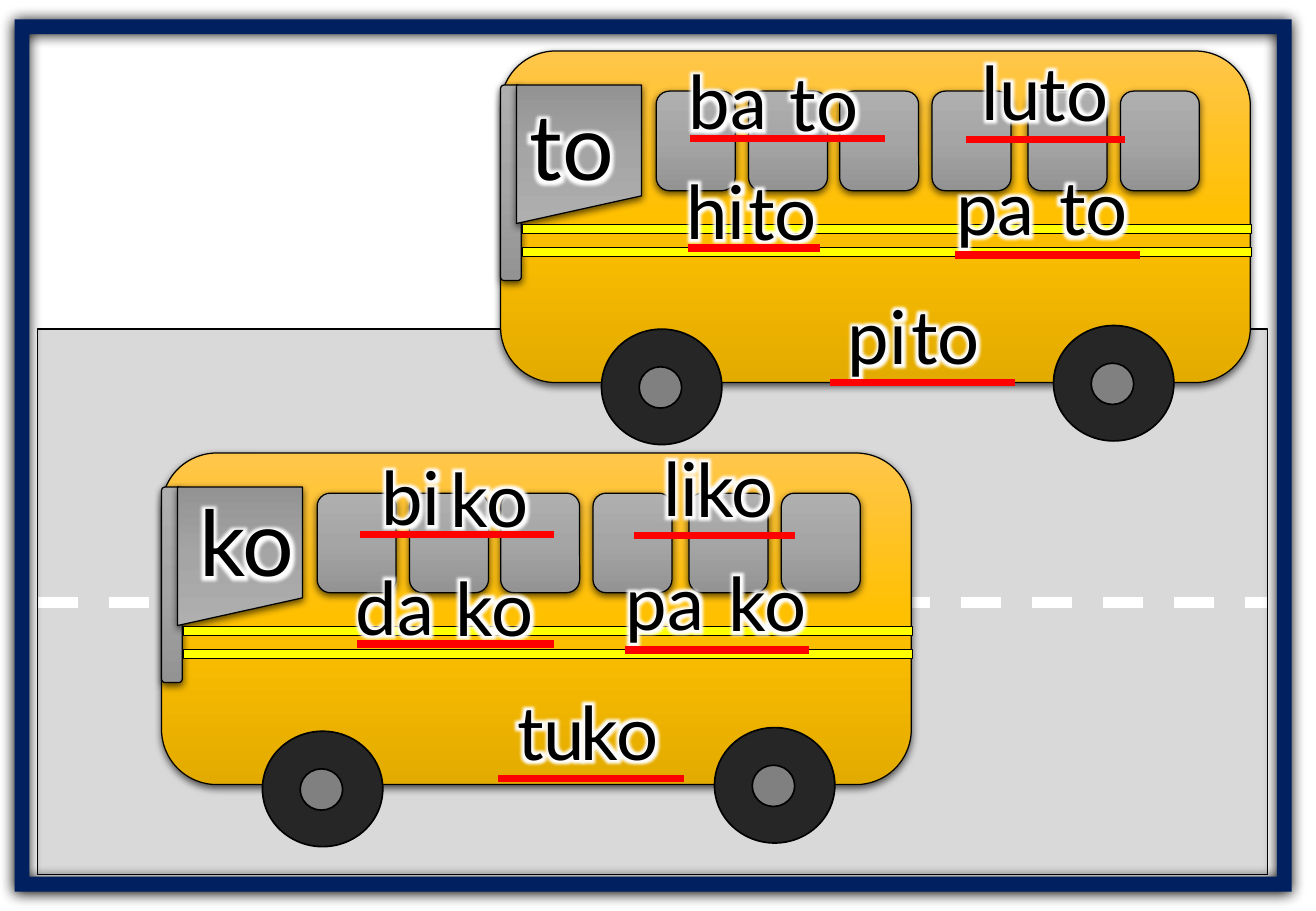
from copy import deepcopy

from lxml.etree import SubElement
from pptx import Presentation
from pptx.dml.color import RGBColor
from pptx.enum.dml import MSO_LINE
from pptx.enum.shapes import MSO_CONNECTOR, MSO_SHAPE as SHAPE
from pptx.enum.text import MSO_AUTO_SIZE
from pptx.oxml.ns import qn
from pptx.util import Inches, Pt

COLORS = {
    "black": "000000", "white": "FFFFFF", "road": "D9D9D9", "navy": "002060",
    "tire": "262626", "hub": "808080", "stripe": "FFFF00", "underline": "FF0000",
}
BUS_YELLOW = ("FFC64B", "FFC000", "E3AB00")
GLASS_GRAY = ("AFAFAF", "A5A5A5", "939393")

# Bus parts, measured from the top left of the bus body
WINDOW_LEFTS = (1.28, 2.04, 2.79, 3.55, 4.34, 5.1)
STRIPE_TOPS = (1.43, 1.62)
WHEELS = ((0.83, 2.29), (4.55, 2.26))

# Syllables: text, left, top, width.  Underlines: left, right, height on slide.
BUSES = [
    {
        "origin": (4.12, 0.42),
        "label": ("to", 4.26, 0.69, 0.95),
        "words": [
            ([("ba", 5.57, 0.41, 1.06), ("to", 6.4, 0.42, 1.25)], (5.68, 7.28, 1.14)),
            ([("hi", 5.55, 1.31, 1.05), ("to", 6.06, 1.32, 1.05)], (5.66, 6.75, 2.04)),
            ([("lu", 7.98, 0.33, 1.04), ("to", 8.46, 0.34, 0.82)], (7.95, 9.26, 1.15)),
            ([("pa", 7.77, 1.28, 1.1), ("to", 8.62, 1.28, 1.04)], (7.86, 9.38, 2.1)),
            ([("pi", 6.88, 2.34, 0.86), ("to", 7.4, 2.34, 1.04)], (6.83, 8.35, 3.15)),
        ],
    },
    {
        "origin": (1.33, 3.73),
        "label": ("ko", 1.54, 3.95, 1.08),
        "words": [
            ([("bi", 3.04, 3.67, 1.06), ("ko", 3.61, 3.68, 1.25)], (2.96, 4.56, 4.4)),
            ([("da", 2.83, 4.57, 1.05), ("ko", 3.65, 4.58, 1.05)], (2.94, 4.56, 5.3)),
            ([("li", 5.36, 3.59, 1.04), ("ko", 5.63, 3.6, 0.93)], (5.22, 6.54, 4.41)),
            ([("pa", 5.05, 4.53, 1.1), ("ko", 5.9, 4.54, 1.04)], (5.14, 6.66, 5.35)),
            ([("tu", 4.16, 5.6, 0.86), ("ko", 4.68, 5.6, 1.04)], (4.1, 5.63, 6.41)),
        ],
    },
]


def rgb(name):
    return RGBColor.from_string(COLORS[name])


def add_effect(effects, tag, color, alpha=100, **attributes):
    effect = SubElement(effects, qn(tag), {k: str(v) for k, v in attributes.items()})
    tint = SubElement(effect, qn("a:srgbClr"), val=COLORS[color])
    SubElement(tint, qn("a:alpha"), val=str(alpha * 1000))


def add_shadow(shape, blur, distance, alpha):
    effects = shape._element.spPr.find(qn("a:effectLst"))
    add_effect(effects, "a:outerShdw", "black", alpha, blurRad=Pt(blur),
               dist=Pt(distance), dir=90 * 60000, algn="ctr", rotWithShape=0)


def add_part(shapes, kind, left, top, width, height, fill, line=1):
    """Add a shape; a tuple of three colours as fill gives a shaded, shadowed part."""
    part = shapes.add_shape(kind, Inches(left), Inches(top), Inches(width), Inches(height))
    part.shadow.inherit = False
    if line:
        part.line.color.rgb = rgb("black")
        part.line.width = Pt(line)
    else:
        part.line.fill.background()
    if isinstance(fill, tuple):
        part.fill.gradient()
        part.fill.gradient_angle = 270
        stop_list = part._element.spPr.find(qn("a:gradFill")).find(qn("a:gsLst"))
        stop_list.append(deepcopy(stop_list[0]))
        for stop, color, position in zip(part.fill.gradient_stops, fill, (0, 0.5, 1)):
            stop.color.rgb = RGBColor.from_string(color)
            stop.position = position
        add_shadow(part, 4.5, 1.5, 63)
    else:
        part.fill.solid()
        part.fill.fore_color.rgb = rgb(fill)
    return part


def add_line(left, right, y, color, width):
    line = slide.shapes.add_connector(
        MSO_CONNECTOR.STRAIGHT, Inches(left), Inches(y), Inches(right), Inches(y))
    line.line.color.rgb = rgb(color)
    line.line.width = Pt(width)
    SubElement(line._element.spPr, qn("a:effectLst"))
    return line


def add_text(text, left, top, width, height=0.84, size=44, wrap=True):
    """Add black text with a white glow."""
    box = slide.shapes.add_textbox(Inches(left), Inches(top), Inches(width), Inches(height))
    frame = box.text_frame
    frame.word_wrap = wrap
    frame.auto_size = MSO_AUTO_SIZE.SHAPE_TO_FIT_TEXT
    run = frame.paragraphs[0].add_run()
    run.text = text
    run.font.size = Pt(size)
    run.font.color.rgb = rgb("black")
    effects = SubElement(run.font._element, qn("a:effectLst"))
    add_effect(effects, "a:glow", "white", rad=Pt(8))
    run.font.name = "Lato"


def add_bus(x, y):
    parts = slide.shapes.add_group_shape().shapes
    add_part(parts, SHAPE.ROUNDED_RECTANGLE, x, y, 6.17, 2.73, BUS_YELLOW, 0.75)
    add_part(parts, SHAPE.ROUNDED_RECTANGLE, x, y + 0.28, 0.17, 1.61, GLASS_GRAY, 0.75)
    windshield = add_part(parts, SHAPE.FLOWCHART_MANUAL_INPUT,
                          x + 0.13, y + 0.28, 1.03, 1.14, GLASS_GRAY, 0.75)
    windshield.rotation = 180
    for top in STRIPE_TOPS:
        add_part(parts, SHAPE.RECTANGLE, x + 0.18, y + top, 6, 0.07, "stripe", 0.5)
    for left, top in WHEELS:
        add_part(parts, SHAPE.OVAL, x + left, y + top, 0.99, 0.95, "tire")
        add_part(parts, SHAPE.OVAL, x + left + 0.31, y + top + 0.31, 0.35, 0.34, "hub")
    for left in WINDOW_LEFTS:
        add_part(parts, SHAPE.ROUNDED_RECTANGLE,
                 x + left, y + 0.33, 0.65, 0.82, GLASS_GRAY, 0.75)


prs = Presentation()
prs.slide_width, prs.slide_height = Inches(10.83), Inches(7.5)
slide = prs.slides.add_slide(prs.slide_layouts[6])

add_part(slide.shapes, SHAPE.RECTANGLE, 0.31, 2.71, 10.12, 4.49, "road")
lane = add_line(0.31, 10.43, 4.96, "white", 6)
lane.line.dash_style = MSO_LINE.DASH

upper_bus, lower_bus = BUSES
add_bus(*upper_bus["origin"])
border = add_part(slide.shapes, SHAPE.FRAME, 0.12, 0.16, 10.51, 7.18, "navy", line=0)
border.adjustments[0] = 0.017
add_shadow(border, 8.5, 1, 100)
add_bus(*lower_bus["origin"])

for bus in BUSES:
    add_text(*bus["label"], height=1.01, size=54, wrap=False)
    for syllables, underline in bus["words"]:
        for syllable in syllables:
            add_text(*syllable)
        add_line(*underline, "underline", 4.5)

prs.save("out.pptx")
